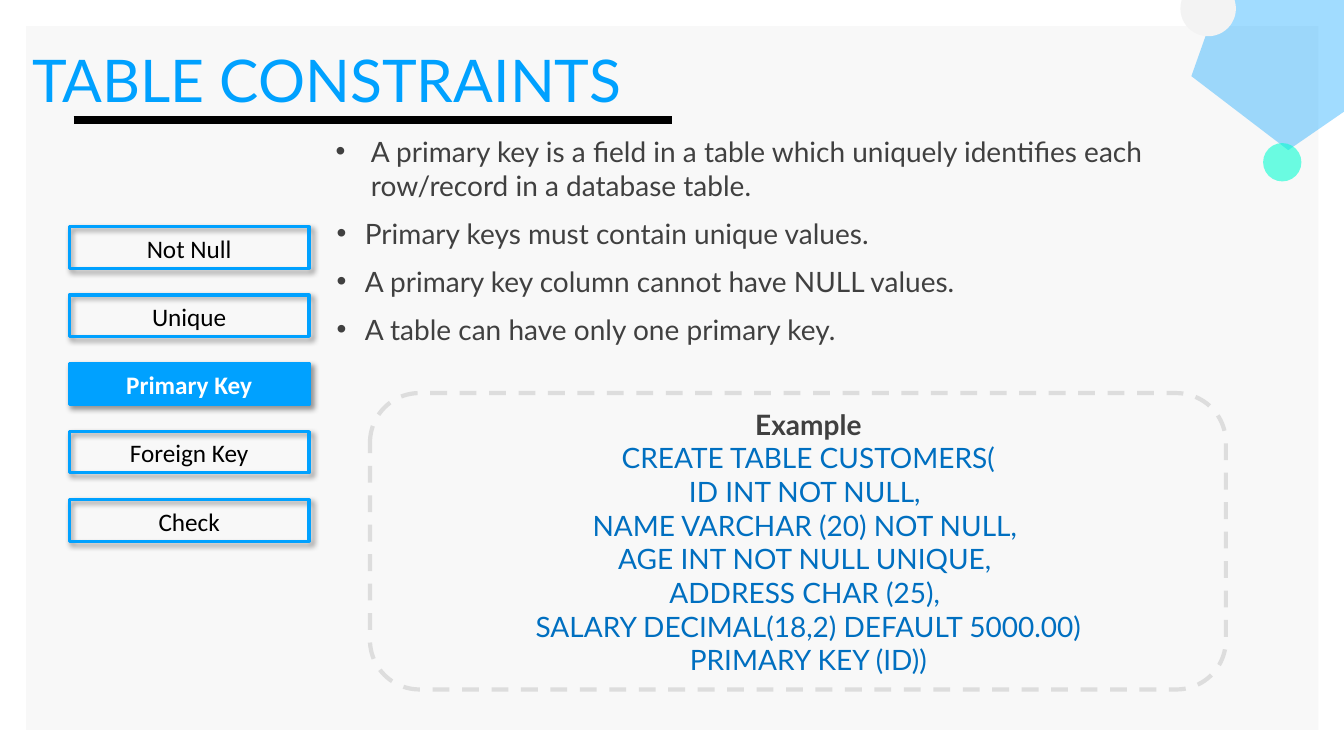
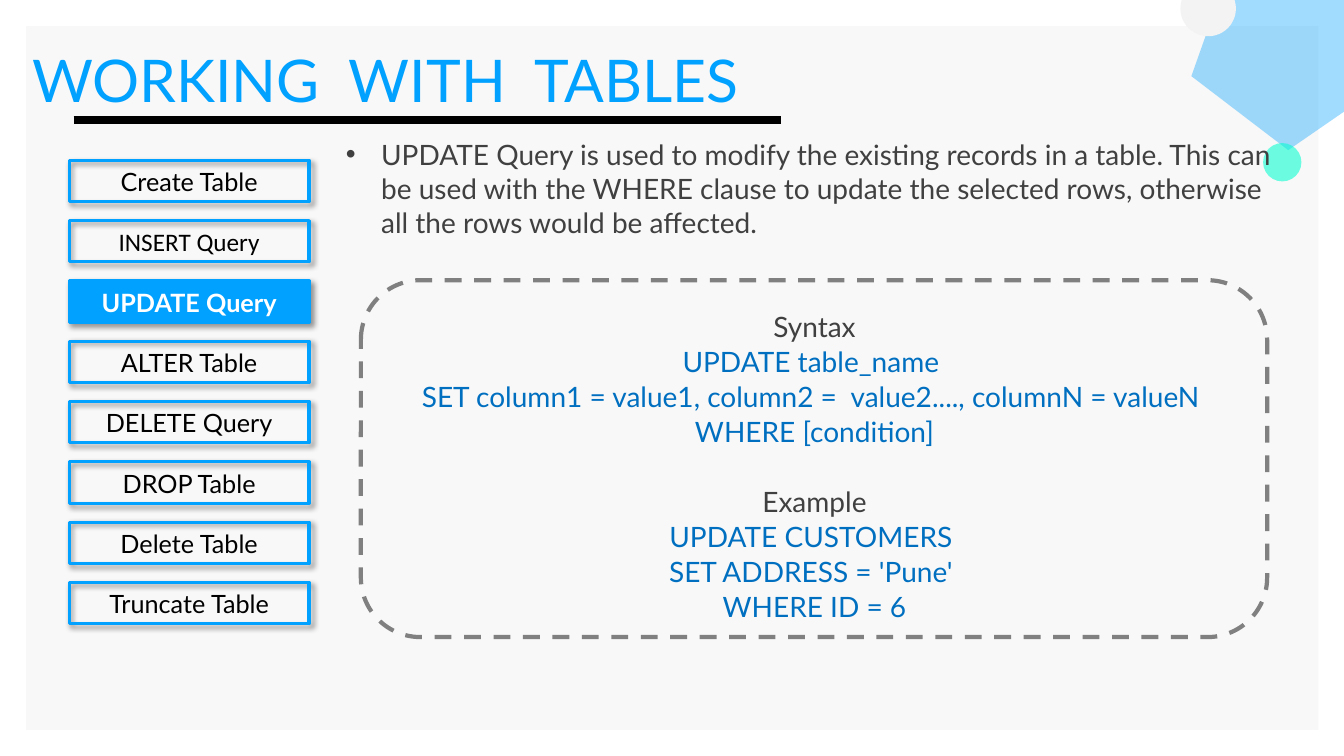
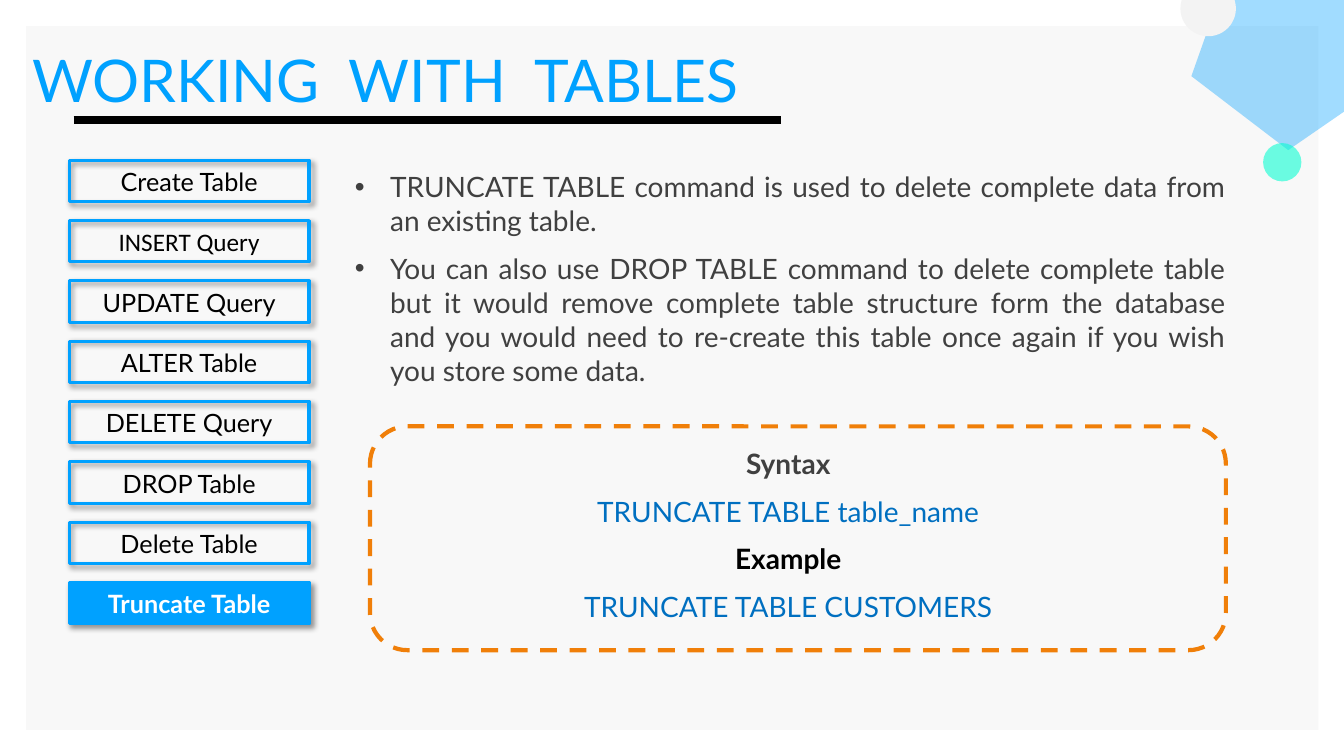
from typing import NamedTuple

from lxml.etree import SubElement
from pptx import Presentation
from pptx.dml.color import RGBColor
from pptx.enum.dml import MSO_LINE
from pptx.enum.shapes import MSO_CONNECTOR, MSO_SHAPE
from pptx.enum.text import MSO_ANCHOR, PP_ALIGN
from pptx.oxml.ns import qn
from pptx.util import Inches, Pt

WIDTH, HEIGHT = Inches(13.33), Inches(7.5)
COLUMN, ROW = WIDTH / 100, HEIGHT / 100

AZURE = RGBColor(0x00, 0xA1, 0xFF)
MINT = RGBColor(0x00, 0xFF, 0xD0)
PAPER = RGBColor(0xF8, 0xF8, 0xF8)
MIST = RGBColor(0xF3, 0xF3, 0xF3)
SILVER = RGBColor(0xDD, 0xDD, 0xDD)
GRAY = RGBColor(0x80, 0x80, 0x80)
ORANGE = RGBColor(0xF0, 0x7F, 0x09)
INK = RGBColor(0x40, 0x40, 0x40)
CODE_BLUE = RGBColor(0x00, 0x6F, 0xC0)
BLACK = RGBColor(0x00, 0x00, 0x00)
WHITE = RGBColor(0xFF, 0xFF, 0xFF)

HEADING_FONT, MENU_FONT = "Lato", "Calibri"
MENU_LEFT, MENU_WIDTH, MENU_HEIGHT = 5.15, 17.85, 5.47
WIDE_INDENT, NARROW_INDENT = (0.39, -0.35), (0.33, -0.28)

CONSTRAINTS = [(name, MENU_FONT) for name in
               ("Not Null", "Unique", "Primary Key", "Foreign Key", "Check")]
QUERIES = [
    ("Create Table", HEADING_FONT),
    ("INSERT Query", MENU_FONT),
    ("UPDATE Query", HEADING_FONT),
    ("ALTER Table", HEADING_FONT),
    ("DELETE Query", HEADING_FONT),
    ("DROP Table", HEADING_FONT),
    ("Delete Table", HEADING_FONT),
    ("Truncate Table", HEADING_FONT),
]


class Line(NamedTuple):
    text: str
    color: RGBColor = CODE_BLUE
    bold: bool = False
    before: float = None


def area(left, top, width, height):
    return (round(left * COLUMN), round(top * ROW),
            round(width * COLUMN), round(height * ROW))


def add_form(page, kind, place, fill=None, alpha=None, rotation=0):
    form = page.shapes.add_shape(kind, *area(*place))
    form.shadow.inherit = False
    form.line.fill.background()
    form.rotation = rotation
    if fill is None:
        form.fill.background()
    else:
        form.fill.solid()
        form.fill.fore_color.rgb = fill
    if alpha is not None:
        color = form.fill._xPr.find(".//" + qn("a:srgbClr"))
        SubElement(color, qn("a:alpha"), val=str(alpha * 1000))
    return form


def add_outline(form, color, weight):
    form.line.color.rgb = color
    form.line.width = Pt(weight)


def add_shadow(form):
    effects = form._element.spPr.find(qn("a:effectLst"))
    shadow = SubElement(effects, qn("a:outerShdw"), blurRad=str(Pt(4)),
                        dist=str(Pt(3)), dir="2700000", algn="tl", rotWithShape="0")
    color = SubElement(shadow, qn("a:srgbClr"), val=str(BLACK))
    SubElement(color, qn("a:alpha"), val="40000")


def add_box(page, place, anchor=MSO_ANCHOR.TOP):
    frame = page.shapes.add_textbox(*area(*place)).text_frame
    frame.word_wrap = True
    frame.vertical_anchor = anchor
    frame.margin_left = frame.margin_right = frame.margin_bottom = 0
    frame.margin_top = Inches(0.01)
    return frame


def add_para(frame, index, align=PP_ALIGN.LEFT, before=0, spacing=1.0):
    para = frame.add_paragraph() if index else frame.paragraphs[0]
    para.alignment = align
    para.line_spacing = spacing
    if index:
        para.space_before = Pt(before)
    return para


def add_span(para, text, size, color, font=HEADING_FONT, bold=False):
    span = para.add_run()
    span.text = text
    span.font.size = Pt(size)
    span.font.name = font
    span.font.bold = bold
    span.font.color.rgb = color


def set_bullet(para, indent):
    margin, hanging = indent
    properties = para._p.get_or_add_pPr()
    properties.set("marL", str(Inches(margin)))
    properties.set("indent", str(Inches(hanging)))
    color = SubElement(properties, qn("a:buClr"))
    SubElement(color, qn("a:srgbClr"), val=str(INK))
    SubElement(properties, qn("a:buFont"), typeface="Arial")
    SubElement(properties, qn("a:buChar"), char="•")


def add_page(deck, title, rule_end):
    page = deck.slides.add_slide(deck.slide_layouts[6])
    add_form(page, MSO_SHAPE.RECTANGLE, (1.95, 3.47, 96.15, 93.07), PAPER)
    add_form(page, MSO_SHAPE.REGULAR_PENTAGON, (88.28, -7.33, 14.7, 24.8),
             AZURE, 37, 325.4)
    add_form(page, MSO_SHAPE.OVAL, (93.98, 18.93, 2.85, 5.07), MINT, 57)
    add_form(page, MSO_SHAPE.OVAL, (87.83, -2.53, 4.13, 7.33), MIST)
    frame = add_box(page, (2.4, 5.6, 97.6, 7.33))
    add_span(add_para(frame, 0), title, 42, AZURE)
    left, top, right, _ = area(5.48, 15.87, rule_end, 0)
    rule = page.shapes.add_connector(MSO_CONNECTOR.STRAIGHT, left, top, right, top)
    add_outline(rule, BLACK, 6)
    SubElement(rule._element.spPr, qn("a:effectLst"))
    return page


def add_menu(page, items, chosen, top, pitch):
    for index, (name, font) in enumerate(items):
        active = name == chosen
        place = (MENU_LEFT, top + index * pitch, MENU_WIDTH, MENU_HEIGHT)
        button = add_form(page, MSO_SHAPE.RECTANGLE, place, AZURE if active else None)
        add_outline(button, AZURE, 2.25)
        add_shadow(button)
        label = add_box(page, place, MSO_ANCHOR.MIDDLE)
        para = add_para(label, 0, PP_ALIGN.CENTER)
        add_span(para, name, 18, WHITE if active else BLACK, font, active)


def add_bullets(page, place, items, align=PP_ALIGN.LEFT, before=10):
    frame = add_box(page, place)
    for index, (text, indent) in enumerate(items):
        para = add_para(frame, index, align, before, 1.01)
        set_bullet(para, indent)
        add_span(para, text, 20, INK)


def add_code(page, panel, column, color, lines, drop=0, before=0, spacing=1.0):
    border = add_form(page, MSO_SHAPE.ROUNDED_RECTANGLE, panel)
    add_outline(border, color, 3)
    border.line.dash_style = MSO_LINE.DASH
    left, width = column
    _, top, _, height = panel
    frame = add_box(page, (left, top + drop, width, height), MSO_ANCHOR.MIDDLE)
    for index, line in enumerate(lines):
        gap = before if line.before is None else line.before
        para = add_para(frame, index, PP_ALIGN.CENTER, gap, spacing)
        add_span(para, line.text, 20, line.color, bold=line.bold)


def primary_key_page(deck):
    page = add_page(deck, "TABLE CONSTRAINTS", 50)
    add_code(page, (27.53, 52, 63.68, 39.2), (24.68, 70.95), SILVER, [
        Line("Example", INK, True),
        Line("CREATE TABLE CUSTOMERS("),
        Line("ID INT NOT NULL, "),
        Line("NAME VARCHAR (20) NOT NULL, "),
        Line("AGE INT NOT NULL UNIQUE, "),
        Line("ADDRESS CHAR (25), "),
        Line("SALARY DECIMAL(18,2) DEFAULT 5000.00)"),
        Line("PRIMARY KEY (ID))"),
    ])
    add_bullets(page, (24.68, 17.6, 70.95, 32), [
        ("A primary key is a field in a table which uniquely identifies each "
         "row/record in a database table.", WIDE_INDENT),
        ("Primary keys must contain unique values.", NARROW_INDENT),
        ("A primary key column cannot have NULL values.", NARROW_INDENT),
        ("A table can have only one primary key.", NARROW_INDENT),
    ])
    add_menu(page, CONSTRAINTS, "Primary Key", 30, 9.03)


def update_page(deck):
    page = add_page(deck, "WORKING  WITH  TABLES", 58.13)
    add_code(page, (26.85, 37.07, 67.43, 47.2), (25.43, 70.35), GRAY, [
        Line("Syntax", INK),
        Line("UPDATE table_name "),
        Line("SET column1 = value1, column2 =  value2...., columnN = valueN "),
        Line("WHERE [condition]"),
        Line("Example", INK, before=25.8),
        Line("UPDATE CUSTOMERS "),
        Line("SET ADDRESS = 'Pune' "),
        Line("WHERE ID = 6"),
    ], drop=0.93, before=0.8, spacing=1.01)
    add_menu(page, QUERIES, "UPDATE Query", 21.2, 7.98)
    add_bullets(page, (25.43, 18, 70.35, 16), [
        ("UPDATE Query is used to modify the existing records in a table. This can "
         "be used with the WHERE clause to update the selected rows, otherwise all "
         "the rows would be affected.", WIDE_INDENT),
    ])


def truncate_page(deck):
    page = add_page(deck, "WORKING  WITH  TABLES", 58.13)
    add_bullets(page, (26.1, 22.27, 65.1, 30), [
        ("TRUNCATE TABLE command is used to delete complete data from an existing "
         "table.", WIDE_INDENT),
        ("You can also use DROP TABLE command to delete complete table but it would "
         "remove complete table structure form the database and you would need to "
         "re-create this table once again if you wish you store some data.",
         WIDE_INDENT),
    ], PP_ALIGN.JUSTIFY)
    add_code(page, (27.53, 56.4, 63.68, 29.6), (26.1, 65.1), ORANGE, [
        Line("Syntax", INK, True),
        Line("TRUNCATE TABLE table_name"),
        Line("Example", BLACK, True),
        Line("TRUNCATE TABLE CUSTOMERS"),
    ], drop=-0.53, before=9.8, spacing=1.01)
    add_menu(page, QUERIES, "Truncate Table", 21.2, 7.98)


def main():
    deck = Presentation()
    deck.slide_width, deck.slide_height = WIDTH, HEIGHT
    primary_key_page(deck)
    update_page(deck)
    truncate_page(deck)
    deck.save("out.pptx")


if __name__ == "__main__":
    main()
